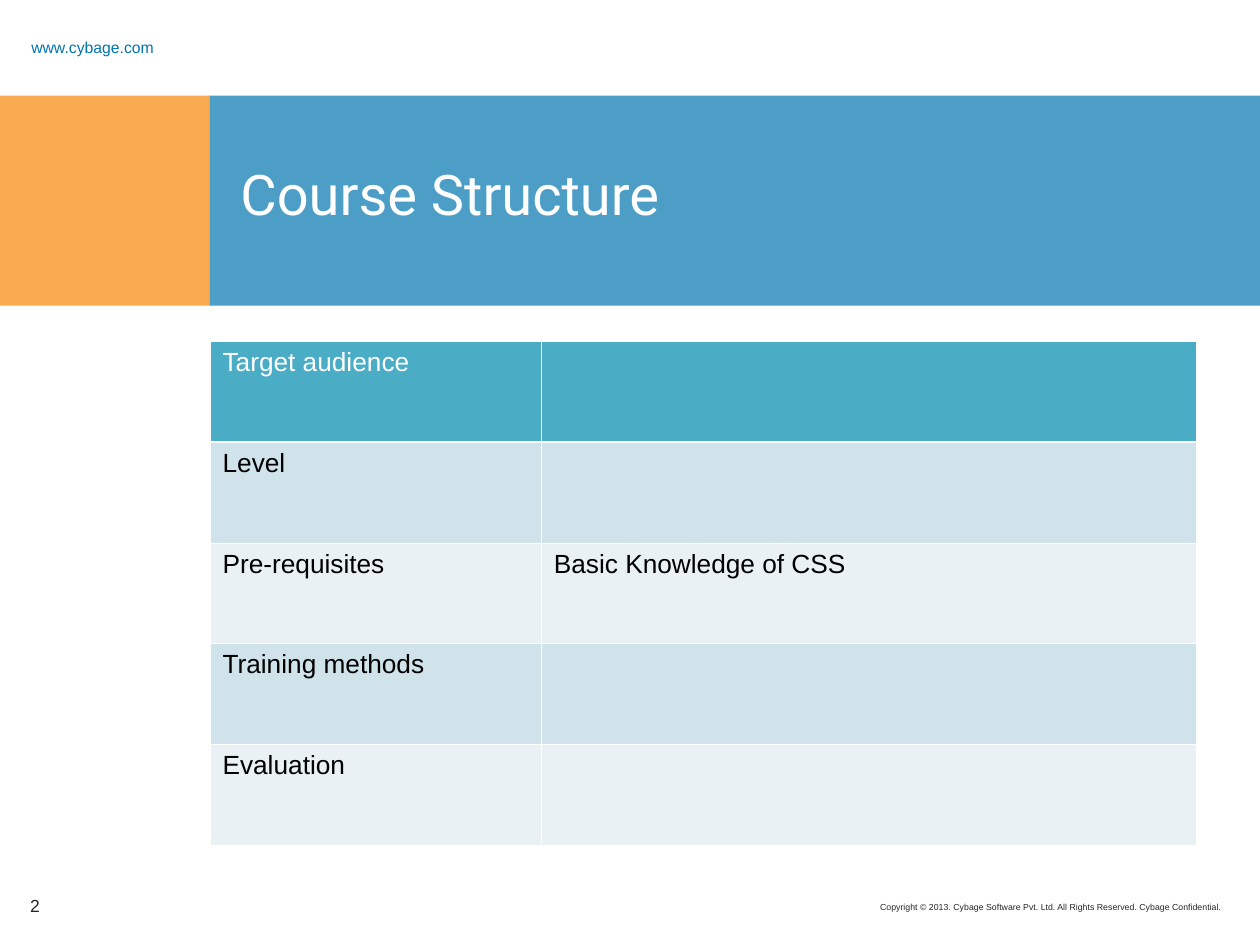
from lxml.etree import SubElement as Sub
from pptx import Presentation
from pptx.dml.color import RGBColor
from pptx.enum.shapes import MSO_SHAPE as Shape
from pptx.enum.text import MSO_ANCHOR as Anchor, PP_ALIGN as Align
from pptx.oxml.ns import qn
from pptx.util import Inches, Pt

WIDE, HIGH = 10, 7.5
COL = WIDE / 6  # the band and the table hang on the first of six columns
BAND_TOP = 0.76
ROW = 0.8
WHITE, BLUE, ORANGE, GREY = "FFFFFF", "0075B0", "F88608", "262626"
HEAD, ODD, EVEN = "4BACC6", "D0E3EA", "E9F1F5"
ROWS = [
    ("Target audience", ""),
    ("Level", ""),
    ("Pre-requisites", "Basic Knowledge of CSS"),
    ("Training methods", ""),
    ("Evaluation", ""),
]


def paint(fill, tint):
    fill.solid()
    fill.fore_color.rgb = RGBColor.from_string(tint)


def style(para, size, tint, face="Arial"):
    font = para.font
    font.name, font.size = face, Pt(size)
    font.color.rgb = RGBColor.from_string(tint)


def add_text(slide, text, box, size, tint, face="Arial",
             anchor=Anchor.MIDDLE, align=Align.LEFT, space=1.0):
    frame = slide.shapes.add_textbox(*map(Inches, box)).text_frame
    frame.word_wrap = True
    frame.vertical_anchor = anchor
    para = frame.paragraphs[0]
    para.text, para.alignment, para.line_spacing = text, align, space
    style(para, size, tint, face)


def add_block(slide, left, width, tint):
    box = map(Inches, (left, BAND_TOP, width, COL))
    block = slide.shapes.add_shape(Shape.RECTANGLE, *box)
    block.shadow.inherit = False
    block.line.fill.background()
    paint(block.fill, tint)
    # 70 % opaque
    hue = block.fill._xPr.find(qn("a:solidFill"))[0]
    Sub(hue, qn("a:alpha"), val="70000")


def add_edges(cell, row):
    # Thin white rules, with a thicker one below the head row
    thick = {0: "B", 1: "T"}.get(row)
    for side in "LRTB":
        width = Pt(1.47 if side == thick else 0.45)
        line = Sub(cell._tc.get_or_add_tcPr(), qn(f"a:ln{side}"), w=str(width))
        Sub(Sub(line, qn("a:solidFill")), qn("a:srgbClr"), val=WHITE)


def add_grid(slide, left, top, widths):
    box = map(Inches, (left, top, sum(widths), ROW * len(ROWS)))
    table = slide.shapes.add_table(len(ROWS), len(widths), *box).table
    for col, width in zip(table.columns, widths):
        col.width = Inches(width)
    for r, texts in enumerate(ROWS):
        back = HEAD if r == 0 else ODD if r % 2 else EVEN
        for c, text in enumerate(texts):
            cell = table.cell(r, c)
            add_edges(cell, r)
            paint(cell.fill, back)
            para = cell.text_frame.paragraphs[0]
            para.text = text
            style(para, 15, WHITE if r == 0 else "000000")
            para.font.bold = False


def main():
    deck = Presentation()
    deck.slide_width, deck.slide_height = Inches(WIDE), Inches(HIGH)
    slide = deck.slides.add_slide(deck.slide_layouts[6])

    # Top and foot lines
    add_text(slide, "Copyright © 2013. Cybage Software Pvt. Ltd. "
             "All Rights Reserved. Cybage Confidential.",
             (6.24, 7.11, 3.56, 0.2), 5, GREY,
             anchor=Anchor.TOP, align=Align.RIGHT)
    add_text(slide, "www.cybage.com", (0.15, 0.24, 1.5, 0.19), 9, BLUE,
             space=1.5)

    # Title band
    add_block(slide, 0, COL, ORANGE)
    add_block(slide, COL, WIDE - COL, BLUE)
    add_text(slide, "Course Structure", (1.81, 1.22, 7.94, 0.62), 32, WHITE,
             "Roboto", Anchor.TOP)

    # Page number and table
    add_text(slide, "2", (0.14, 6.99, 0.54, 0.4), 10, GREY)
    add_grid(slide, COL, 2.71, (2.63, 5.2))
    deck.save("out.pptx")


if __name__ == "__main__":
    main()
